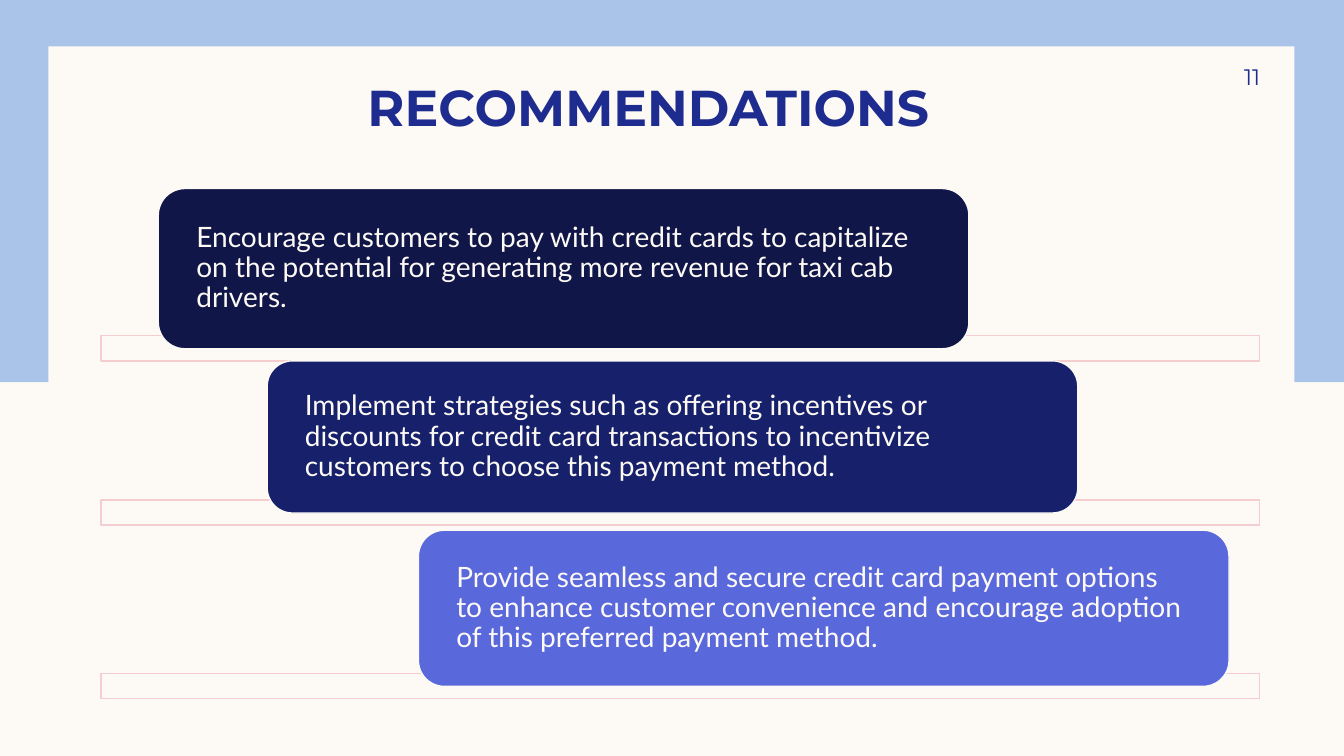
from pptx import Presentation
from pptx.dml.color import RGBColor
from pptx.enum.shapes import MSO_SHAPE as Shape
from pptx.enum.text import MSO_ANCHOR as Anchor, PP_ALIGN as Align
from pptx.util import Inches, Pt

CREAM, NAVY, ROSE = "FDFAF6", "1F2C8F", "F5CDCE"


def paint(item, tone):
    item.fill.solid()
    item.fill.fore_color.rgb = RGBColor.from_string(tone)


def write(item, text, size, font, tone, align, anchor, pads):
    frame = item.text_frame
    frame.text = text
    frame.word_wrap = True
    frame.vertical_anchor = anchor
    frame.margin_left, frame.margin_right = [Inches(pad) for pad in pads]
    frame.margin_top = frame.margin_bottom = 0
    para = frame.paragraphs[0]
    para.alignment = align
    run = para.runs[0].font
    run.size, run.name = Pt(size), font
    run.color.rgb = RGBColor.from_string(tone)
    return para


deck = Presentation()
deck.slide_width, deck.slide_height = Inches(13.33), Inches(7.5)
slide = deck.slides.add_slide(deck.slide_layouts[5])
paint(slide.background, CREAM)
shapes = slide.shapes

title = shapes.title
title.left, title.top = Inches(0.68), Inches(0.25)
title.width, title.height = Inches(11.5), Inches(1.11)
head = write(title, "RECOMMENDATIONS", 36, "Montserrat", NAVY,
             Align.CENTER, Anchor.BOTTOM, (0.1, 0.1))
head.runs[0].font.bold = True

cards = [
    (1.57, 1.87, 1.59, "101648",
     "Encourage customers to pay with credit cards to capitalize on the "
     "potential for generating more revenue for taxi cab drivers."),
    (2.65, 3.58, 1.51, "17216B",
     "Implement strategies such as offering incentives or discounts for "
     "credit card transactions to incentivize customers to choose this "
     "payment method."),
    (4.15, 5.26, 1.55, "5968DB",
     "Provide seamless and secure credit card payment options to enhance "
     "customer convenience and encourage adoption of this preferred "
     "payment method."),
]

blocks = [
    (Shape.RECTANGLE, 0, 0, 13.33, 3.79, "AAC3E8", None, None),
    (Shape.RECTANGLE, 0.48, 0.46, 12.36, 6.59, CREAM, None, None),
]
for left, top, high, tone, text in cards:
    blocks += [
        (Shape.RECTANGLE, 1, top + high - 0.13, 11.49, 0.25, CREAM, ROSE, None),
        (Shape.ROUNDED_RECTANGLE, left, top, 8.04, high, tone, CREAM, text),
    ]

for kind, left, top, wide, high, tone, edge, text in blocks:
    block = shapes.add_shape(kind, Inches(left), Inches(top),
                             Inches(wide), Inches(high))
    block.shadow.inherit = False
    paint(block, tone)
    if edge:
        paint(block.line, edge)
        block.line.width = Pt(1)
    else:
        block.line.fill.background()
    if text:
        para = write(block, text, 20, "Lato", CREAM,
                     Align.LEFT, Anchor.MIDDLE, (0.3, 0.3))
        para.line_spacing = 0.9

tree = title.element.getparent()
tree.remove(title.element)
tree.insert(tree.index(shapes[1].element) + 1, title.element)

page = shapes.add_textbox(Inches(11.33), Inches(0.5), Inches(1.17), Inches(0.52))
write(page, "11", 16, "Montserrat", NAVY, Align.RIGHT, Anchor.MIDDLE, (0.1, 0))

deck.save("out.pptx")
